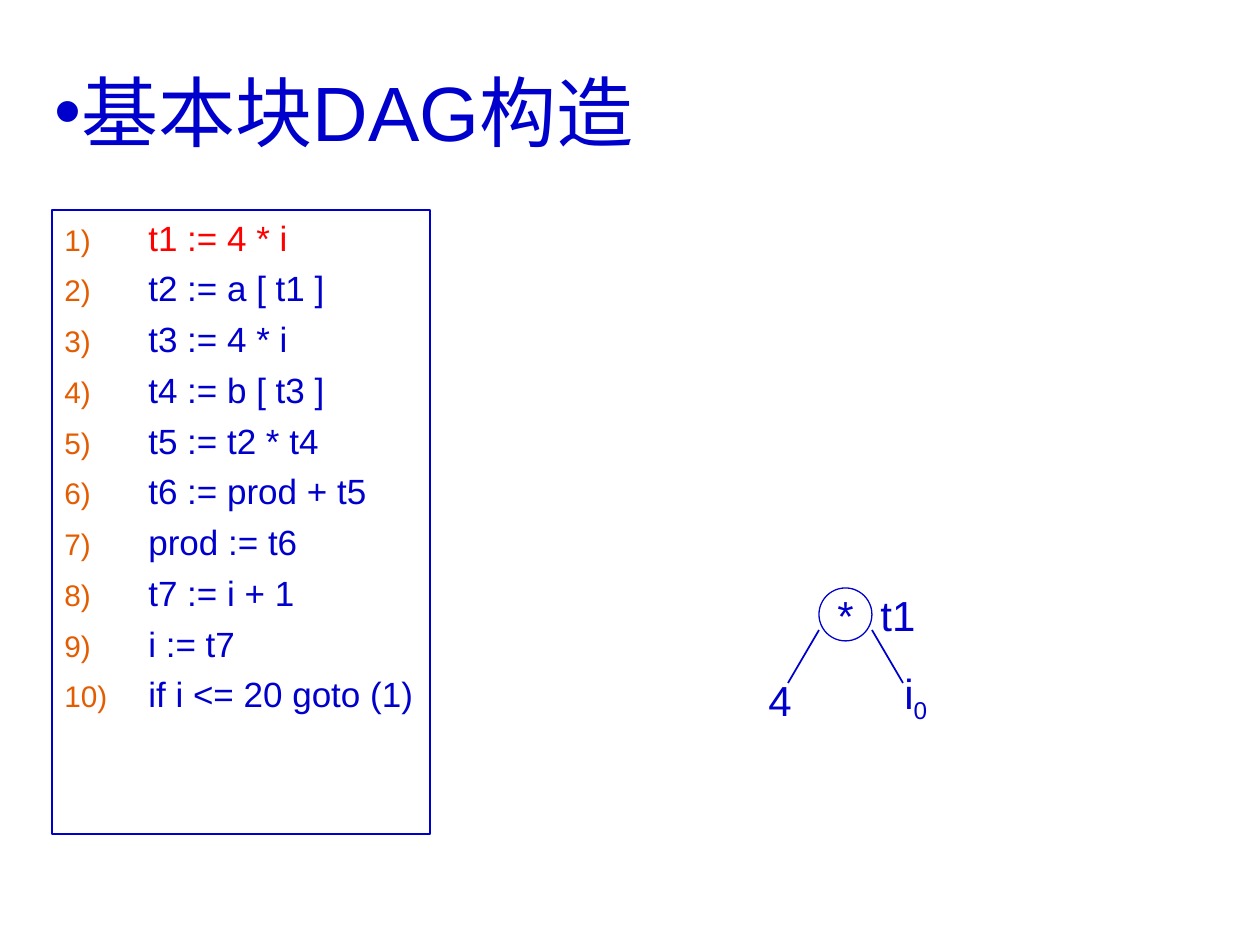
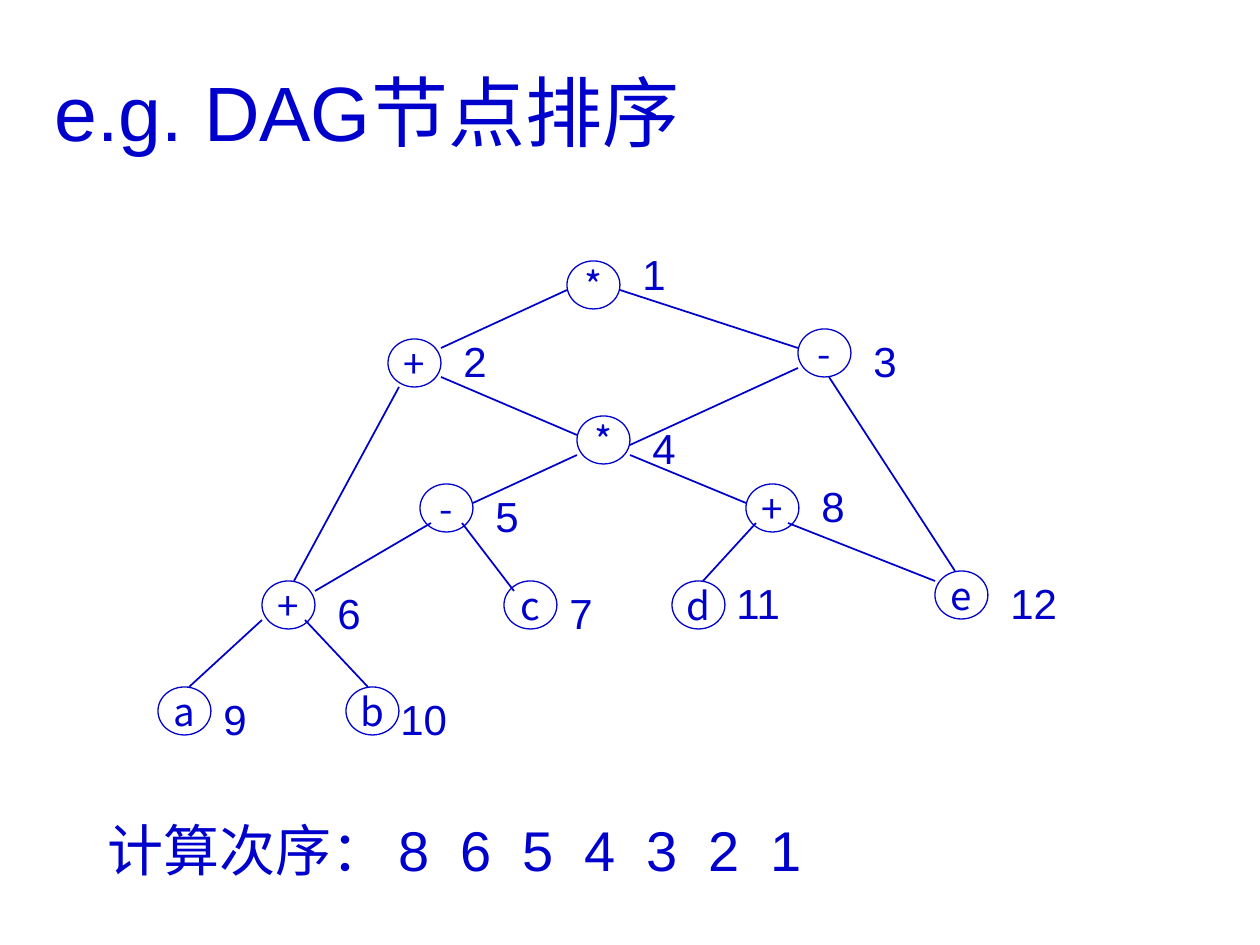
from lxml import etree
from pptx import Presentation
from pptx.dml.color import RGBColor
from pptx.enum.shapes import MSO_CONNECTOR, MSO_SHAPE
from pptx.enum.text import MSO_ANCHOR, MSO_AUTO_SIZE, PP_ALIGN
from pptx.oxml.ns import qn
from pptx.util import Pt

PX = 914400 / 126
BLUE, RED, ORANGE = "0000CC", "FF0000", "E45C00"
LATIN, CJK = "Arial", "Noto Sans CJK SC"
ELLIPSE, RECT = MSO_SHAPE.OVAL, MSO_SHAPE.RECTANGLE
STRAIGHT = MSO_CONNECTOR.STRAIGHT
MIDDLE, TOP = MSO_ANCHOR.MIDDLE, MSO_ANCHOR.TOP
CENTER, LEFT = PP_ALIGN.CENTER, PP_ALIGN.LEFT
GROW = MSO_AUTO_SIZE.SHAPE_TO_FIT_TEXT

CODE = ["t1 := 4 * i", "t2 := a [ t1 ]", "t3 := 4 * i", "t4 := b [ t3 ]",
        "t5 := t2 * t4", "t6 := prod + t5", "prod := t6", "t7 := i + 1",
        "i := t7", "if i <= 20 goto (1)"]

# number: (symbol, left, top, number offset right, number offset down)
NODES = {
    1: ("*", 567, 261, 63, -19),
    2: ("+", 388, 339, 63, -10),
    3: ("-", 798, 329, 63, 0),
    4: ("*", 577, 416, 63, 0),
    5: ("-", 420, 484, 63, 0),
    6: ("+", 262, 581, 63, 0),
    7: ("c", 504, 581, 53, 0),
    8: ("+", 746, 484, 63, -10),
    9: ("a", 158, 687, 53, 0),
    10: ("b", 346, 687, 42, 0),
    11: ("d", 672, 581, 52, -10),
    12: ("e", 935, 571, 63, 0),
}
EDGES = [
    (567, 290, 441, 348), (620, 290, 798, 348), (441, 377, 577, 435),
    (399, 387, 294, 581), (798, 368, 630, 445), (262, 620, 189, 687),
    (305, 620, 368, 687), (431, 523, 315, 591), (462, 523, 514, 591),
    (577, 455, 473, 503), (630, 455, 746, 503), (756, 523, 703, 581),
    (788, 523, 935, 581), (829, 377, 955, 571),
]
ORDER = [8, 6, 5, 4, 3, 2, 1]


def px(n):
    return round(n * PX)


def rgb(color):
    return RGBColor.from_string(color)


def add_run(p, text, size=24, color=BLUE, font=LATIN, baseline=None):
    r = p.add_run()
    r.text = text
    r.font.size = Pt(size)
    r.font.name = font
    r.font.color.rgb = rgb(color)
    rPr = r._r.get_or_add_rPr()
    etree.SubElement(rPr, qn("a:ea")).set("typeface", CJK)
    if baseline:
        rPr.set("baseline", str(baseline))


def write(p, text, before=0, align=LEFT, **run_format):
    p.space_before = Pt(before)
    p.alignment = align
    add_run(p, text, **run_format)
    return p


def add_bullet(p, color, tag, size=100, **attrs):
    pPr = p._p.get_or_add_pPr()
    bu_color = etree.SubElement(pPr, qn("a:buClr"))
    etree.SubElement(bu_color, qn("a:srgbClr")).set("val", color)
    etree.SubElement(pPr, qn("a:buSzPct")).set("val", str(size * 1000))
    etree.SubElement(pPr, qn("a:buFont")).set("typeface", LATIN)
    etree.SubElement(pPr, qn(tag), attrs)


def add_tabs(p, stops):
    tabs = etree.SubElement(p._p.get_or_add_pPr(), qn("a:tabLst"))
    for stop in stops:
        etree.SubElement(tabs, qn("a:tab"), pos=str(px(stop)), algn="l")


def add_text(slide, text, x, y, w, h, anchor=TOP, grow=True, **text_format):
    tf = slide.shapes.add_textbox(px(x), px(y), px(w), px(h)).text_frame
    tf.word_wrap = True
    tf.vertical_anchor = anchor
    if grow:
        tf.auto_size = GROW
    return write(tf.paragraphs[0], text, **text_format)


def add_title(slide, text):
    return add_text(slide, text, 42, 32, 1177, 157, anchor=MIDDLE, grow=False,
                    size=44)


def add_label(slide, text, x, y, w=67):
    return add_text(slide, text, x, y, w, 63, before=15)


def add_outline(slide, kind, x, y, w, h):
    """Add an unfilled shape with a thin blue line."""
    sp = slide.shapes.add_shape(kind, px(x), px(y), px(w), px(h))
    sp.shadow.inherit = False
    sp.fill.background()
    sp.line.color.rgb = rgb(BLUE)
    sp.line.width = Pt(0.75)
    return sp.text_frame


def add_node(slide, symbol, x, y, h=48, size=22, font=CJK):
    tf = add_outline(slide, ELLIPSE, x, y, 53, h)
    tf.word_wrap = False
    tf.vertical_anchor = MIDDLE
    write(tf.paragraphs[0], symbol, align=CENTER, size=size, font=font)


def add_edge(slide, x1, y1, x2, y2):
    line = slide.shapes.add_connector(STRAIGHT, px(x1), px(y1), px(x2), px(y2))
    line.line.color.rgb = rgb(BLUE)
    line.line.width = Pt(1)
    etree.SubElement(line._element.spPr, qn("a:effectLst"))


def add_code(slide, lines, current):
    """List numbered statements in a frame, with the current one in red."""
    tf = add_outline(slide, RECT, 52, 210, 378, 624)
    tf.word_wrap = True
    tf.vertical_anchor = TOP
    for i, line in enumerate(lines):
        p = tf.paragraphs[0] if i == 0 else tf.add_paragraph()
        write(p, line, before=5, size=20, color=RED if i == current else BLUE)
        pPr = p._p.get_or_add_pPr()
        pPr.set("marL", str(px(84)))
        pPr.set("indent", str(-px(84)))
        add_bullet(p, ORANGE, "a:buAutoNum", size=85, type="arabicParenR")


def build_construction(slide):
    p = add_title(slide, "基本块DAG构造")
    add_bullet(p, BLUE, "a:buChar", char="•")
    add_label(slide, "4", 756, 668, 53)
    p = add_label(slide, "i", 892, 661, 53)
    add_run(p, "0", baseline=-25000)
    add_node(slide, "*", 819, 588, h=53, size=24, font=LATIN)
    add_edge(slide, 819, 630, 788, 683)
    add_edge(slide, 872, 630, 903, 683)
    add_label(slide, "t1", 868, 583, 95)
    add_code(slide, CODE, current=0)


def build_ordering(slide):
    add_title(slide, "e.g. DAG节点排序")
    for symbol, x, y, _, _ in NODES.values():
        add_node(slide, symbol, x, y)
    for edge in EDGES:
        add_edge(slide, *edge)
    for number, (_, x, y, dx, dy) in NODES.items():
        add_label(slide, str(number), x + dx, y + dy, 67 if number < 10 else 84)
    order = "\t".join(["计算次序：", *map(str, ORDER)])
    p = add_text(slide, order, 95, 809, 1018, 81, before=20, size=32)
    add_tabs(p, [291 + 62 * i for i in range(len(ORDER))])


def main():
    prs = Presentation()
    prs.slide_width, prs.slide_height = px(1260), px(945)
    blank = prs.slide_layouts[6]
    for build in (build_construction, build_ordering):
        build(prs.slides.add_slide(blank))
    prs.save("out.pptx")


if __name__ == "__main__":
    main()
